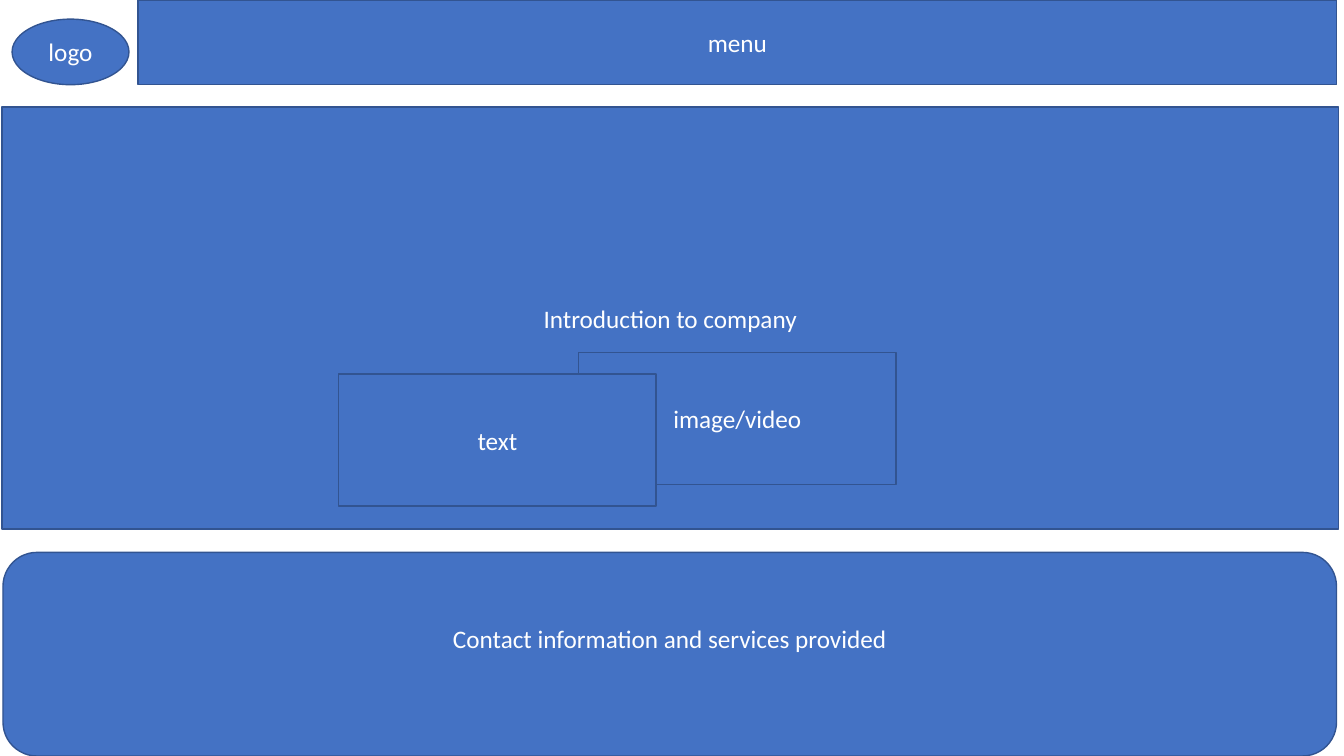
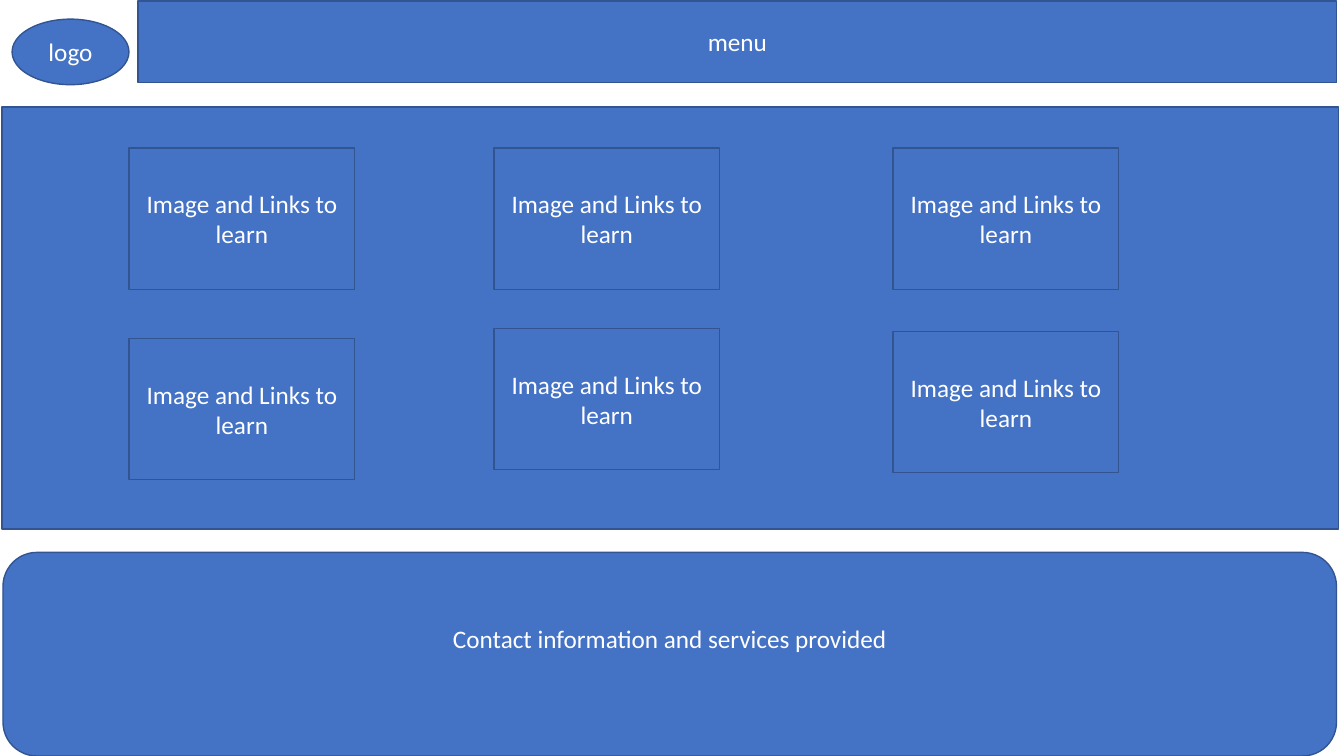
from pptx import Presentation
from pptx import util as u
from pptx.dml import color
from pptx.enum import shapes, text

Pt = u.Pt
COLORS = {"fill": "4472C4", "outline": "325491", "label": "FFFFFF"}
KIND = shapes.MSO_SHAPE


class Wireframe:
    """Holds the shared style and the slide being drawn."""
    font, size, line_width = "Calibri", 18, 1

    def __init__(self):
        self.deck = Presentation()
        self.deck.slide_width, self.deck.slide_height = Pt(960), Pt(540)
        self.slide = None

    def rgb(self, name):
        return color.RGBColor.from_string(COLORS[name])

    def block(self, x, y, width, height, label="", kind=KIND.RECTANGLE, bottom=3.6):
        block = self.slide.shapes.add_shape(kind, Pt(x), Pt(y), Pt(width), Pt(height))
        block.shadow.inherit = False
        block.fill.solid()
        block.fill.fore_color.rgb = self.rgb("fill")
        block.line.color.rgb = self.rgb("outline")
        block.line.width = Pt(self.line_width)
        if label:
            self.caption(block.text_frame, label, bottom)

    def caption(self, frame, label, bottom):
        frame.word_wrap = True
        frame.vertical_anchor = text.MSO_ANCHOR.MIDDLE
        frame.margin_bottom = Pt(bottom)
        paragraph = frame.paragraphs[0]
        paragraph.alignment = text.PP_ALIGN.CENTER
        run = paragraph.add_run()
        run.text = label
        run.font.name, run.font.size = self.font, Pt(self.size)
        run.font.color.rgb = self.rgb("label")

    def page(self, menu_top, menu_height, intro=""):
        """Start a slide with the header, footer and main panel."""
        self.slide = self.deck.slides.add_slide(self.deck.slide_layouts[6])
        self.block(8.64, 13.68, 83.52, 46.8, "logo", KIND.OVAL)
        self.block(98.64, menu_top, 856.08, menu_height, "menu")
        # The deeper bottom inset lifts the footer wording above the middle
        self.block(2.16, 394.56, 952.56, 145.44,
                   "Contact information and services provided",
                   KIND.ROUNDED_RECTANGLE, bottom=25.6)
        self.block(1.44, 76.32, 954.72, 301.68, intro)


site = Wireframe()

# Home page: overlapping media and text blocks
site.page(0, 60.48, "Introduction to company")
for label, left, top in (("image/video", 413.28, 252), ("text", 241.92, 267.12)):
    site.block(left, top, 226.8, 94.32, label)

# Learning page: three columns, each with its own lower card position
site.page(0.72, 58.32)
upper_top = 105.84
for left, lower_top in ((92.16, 241.92), (352.8, 234.72), (637.92, 236.88)):
    for top in (upper_top, lower_top):
        site.block(left, top, 161.28, 100.8, "Image and Links to learn")

site.deck.save("out.pptx")
